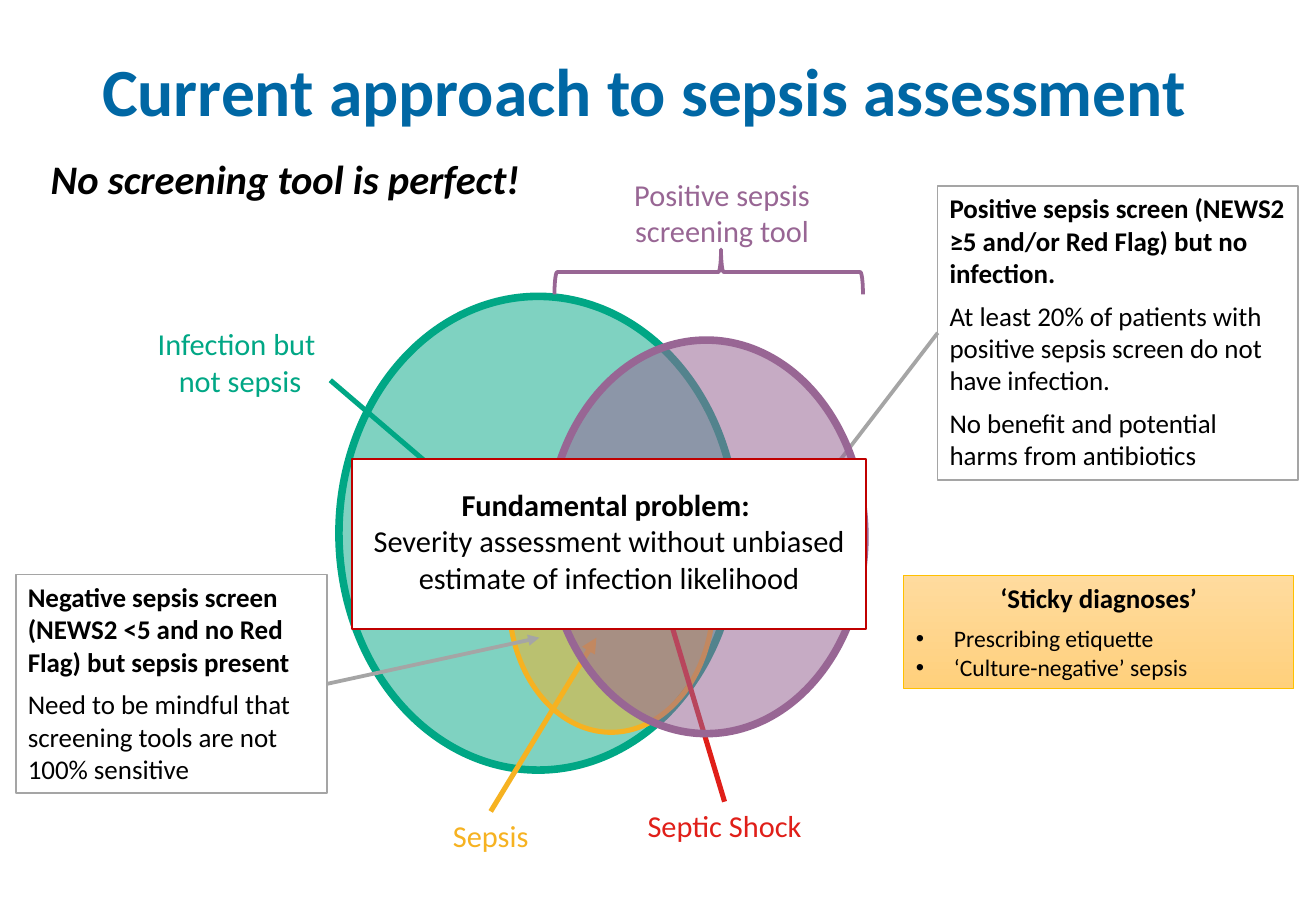
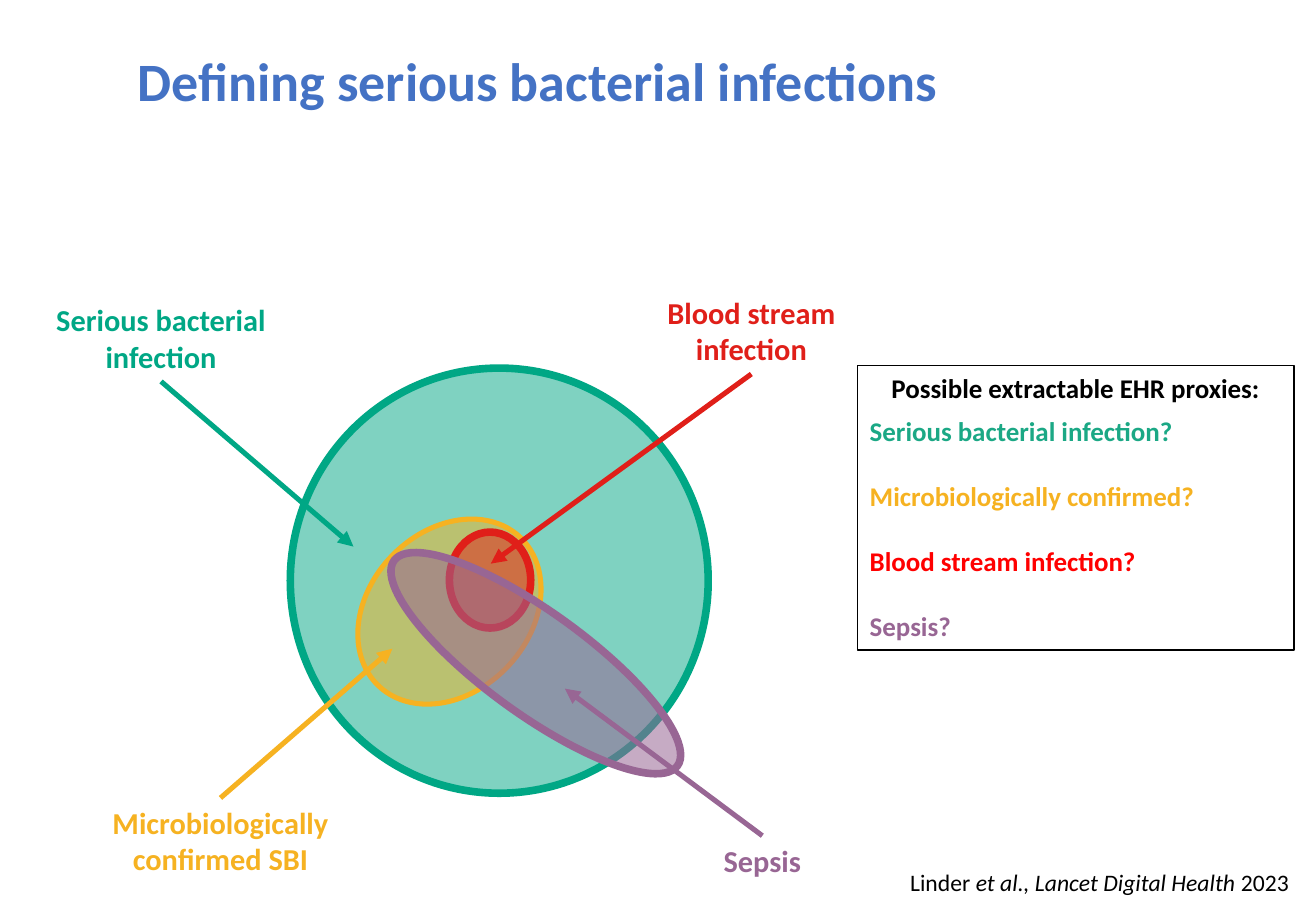
from lxml.etree import SubElement
from pptx import Presentation
from pptx.dml.color import RGBColor
from pptx.enum.shapes import MSO_CONNECTOR, MSO_SHAPE
from pptx.enum.text import MSO_ANCHOR, MSO_AUTO_SIZE, PP_ALIGN
from pptx.oxml.ns import qn
from pptx.util import Pt

HUES = {
    "blue": "0067A4", "royal": "4472C4", "black": "000000", "white": "FFFFFF",
    "green": "00A785", "mint": "1BA885", "gold": "F6B221", "red": "E01F19",
    "alert": "FF0000", "plum": "986694", "gray": "A5A5A5", "dark": "C00000",
    "amber": "FFC000", "pale": "FFDB9E", "peach": "FFD07C",
}
FACE = "Calibri"
MID, END = PP_ALIGN.CENTER, PP_ALIGN.RIGHT
TOP, LEFT, LOW, RIGHT = range(4)

HEAD = {"size": 16, "bold": True, "after": 6}
TEXT = {"size": 16, "after": 6}
ITEM = {"size": 14, "bullet": "•"}
MAIN = {"size": 18, "align": MID}
ASK = {"size": 16, "bold": True}
GAP = {**ASK, "before": 19.5}

SLIDES = [
    {
        "title": ("Current approach to sepsis assessment", (53.3, 23, 716.4, 60.5),
                  {"size": 40, "bold": True, "hue": "blue"}, MSO_ANCHOR.MIDDLE),
        "body": ((535.7, 341.3, 231.1, 67), "amber", 0.5, ("pale", "peach"), [
            ("‘Sticky diagnoses’", {**HEAD, "align": MID}),
            ("Prescribing etiquette", ITEM),
            ("‘Culture-negative’ sepsis", ITEM)]),
        "parts": [
            ("text", (23, 87.8, 317.5, 37.4), [
                ("No screening tool is perfect!", {"size": 24, "bold": True, "italic": True})]),
            ("oval", (200.9, 175.7, 236.2, 280.8), "green"),
            ("oval", (301.7, 277.9, 121, 156.2), "gold", 3),
            ("label", (350.6, 475.2, 157.7, 28.8), "red", ["Septic Shock"], TOP, (385.9, 329.8)),
            ("label", (252.7, 481, 76.3, 28.8), "gold", ["Sepsis"], TOP, (353.5, 378)),
            ("label", (63.4, 189.4, 157.7, 51.1), "green", ["Infection but ", "not sepsis"]),
            ("arrow", (195.8, 225.4), (266.4, 285.8), "green"),
            ("panel", (555.8, 110.2, 213.8, 174.2), "gray", 1, [
                ("Positive sepsis screen (NEWS2 ≥5 and/or Red Flag) but no infection.", HEAD),
                ("At least 20% of patients with positive sepsis screen do not have infection.", TEXT),
                ("No benefit and potential harms from antibiotics", TEXT)], LEFT, (465.8, 314.6)),
            ("panel", (9.4, 340.6, 184.3, 129.6), "gray", 1, [
                ("Negative sepsis screen (NEWS2 <5 and no Red Flag) but sepsis present", HEAD),
                ("Need to be mindful that screening tools are not 100% sensitive", TEXT)],
             RIGHT, (319.7, 378)),
            ("oval", (324.7, 201.6, 187.9, 233.3), "plum", 4.5, 55),
            ("label", (349.9, 100.8, 156.2, 51.1), "plum", ["Positive sepsis screening tool"]),
            ("brace", (406.8, 69.8, 26.6, 182.9), "plum"),
            ("panel", (208.8, 272.2, 304.6, 100.8), "dark", 1.5, [
                ("Fundamental problem: ", {**MAIN, "bold": True}),
                ("Severity assessment without unbiased estimate of infection likelihood", MAIN)],
             None, None, 16),
        ],
    },
    {
        "title": ("Defining serious bacterial infections", (74.2, 28.8, 630.7, 46.8),
                  {"size": 32, "bold": True, "hue": "royal", "line": 0.9}, MSO_ANCHOR.TOP),
        "body": ((508.3, 216.7, 258.5, 168.5), "black", 1, ("white",), [
            ("Possible extractable EHR proxies:", {**HEAD, "align": MID}),
            ("Serious bacterial infection?", {**ASK, "hue": "mint"}),
            ("Microbiologically confirmed?", {**GAP, "hue": "gold"}),
            ("Blood stream infection?", {**GAP, "hue": "alert"}),
            ("Sepsis?", {**GAP, "hue": "plum"})]),
        "parts": [
            ("oval", (172.1, 218.2, 247.7, 252), "green"),
            ("label", (16.6, 175, 157.7, 51.1), "green", ["Serious bacterial infection"],
             LOW, (209.5, 324), True),
            ("label", (41.8, 473, 177.8, 51.1), "gold", ["Microbiologically confirmed SBI"],
             TOP, (232.6, 384.5), True),
            ("oval", (218.9, 301.7, 95, 121.7), "gold", 3, 50, 43.8),
            ("label", (366.5, 170.6, 157.7, 51.1), "red", ["Blood stream infection"],
             LOW, (290.9, 334.1), True),
            ("oval", (266.4, 315.4, 48.2, 56.9), "red"),
            ("label", (373, 495.4, 157.7, 28.8), "plum", ["Sepsis"], TOP, (334.8, 408.2), True),
            ("oval", (287.3, 289.4, 60.5, 207.4), "plum", 4.5, 55, 125.9),
            ("text", (452.9, 511.2, 318.2, 24.5), [
                ([("Linder ", False), ("et al., Lancet Digital Health ", True), ("2023", False)],
                 {"size": 14, "align": END})]),
        ],
    },
]


def rgb(hue):
    return RGBColor.from_string(HUES[hue])


def put(obj, **vals):
    for key, val in vals.items():
        setattr(obj, key, val)


def place(shape, box):
    put(shape, **dict(zip(("left", "top", "width", "height"), map(Pt, box))))


def edge(shape, hue, width):
    shape.line.color.rgb = rgb(hue)
    shape.line.width = Pt(width)


def paint(shape, hues):
    if len(hues) == 1:
        shape.fill.solid()
        shape.fill.fore_color.rgb = rgb(hues[0])
        return
    shape.fill.gradient()
    shape.fill.gradient_angle = 270
    for stop, hue in zip(shape.fill.gradient_stops, hues):
        stop.color.rgb = rgb(hue)


def mark(para, sign):
    props = para._p.get_or_add_pPr()
    dent = Pt(22.5) if sign else 0
    props.set("marL", str(dent))
    props.set("indent", str(-dent))
    if sign:
        SubElement(props, qn("a:buChar")).set("char", sign)
    else:
        SubElement(props, qn("a:buNone"))


def write(shape, paras, anchor=MSO_ANCHOR.TOP, head=3.6):
    frame = shape.text_frame
    put(frame, word_wrap=True, auto_size=MSO_AUTO_SIZE.NONE, vertical_anchor=anchor,
        margin_left=Pt(7.2), margin_right=Pt(7.2), margin_top=Pt(head), margin_bottom=Pt(3.6))
    for num, (text, form) in enumerate(paras):
        para = frame.add_paragraph() if num else frame.paragraphs[0]
        mark(para, form.get("bullet"))
        put(para, alignment=form.get("align", PP_ALIGN.LEFT), line_spacing=form.get("line", 1.0),
            space_before=Pt(form.get("before", 0)), space_after=Pt(form.get("after", 0)))
        slant = form.get("italic", False)
        for words, tilt in [(text, slant)] if isinstance(text, str) else text:
            run = para.add_run()
            run.text = words
            put(run.font, name=FACE, size=Pt(form["size"]), bold=form.get("bold", False), italic=tilt)
            run.font.color.rgb = rgb(form.get("hue", "black"))


def add(slide, kind, box):
    shape = slide.shapes.add_shape(kind, *map(Pt, box))
    shape.shadow.inherit = False
    return shape


def arrow(slide, start, end, hue, width=3):
    wire = slide.shapes.add_connector(MSO_CONNECTOR.STRAIGHT, *map(Pt, start + end))
    edge(wire, hue, width)
    props = wire.element.spPr
    SubElement(props.find(qn("a:ln")), qn("a:tailEnd")).set("type", "triangle")
    SubElement(props, qn("a:effectLst"))
    return wire


def point(slide, shape, site, end, hue, width):
    if end:
        arrow(slide, end, end, hue, width).begin_connect(shape, site)


def text(slide, box, paras):
    shape = slide.shapes.add_textbox(*map(Pt, box))
    write(shape, paras)
    return shape


def label(slide, box, hue, lines, site=None, end=None, bold=False):
    form = {**MAIN, "hue": hue, "bold": bold}
    shape = text(slide, box, [(line, form) for line in lines])
    point(slide, shape, site, end, hue, 3)


def panel(slide, box, hue, width, paras, site=None, end=None, head=3.6):
    shape = add(slide, MSO_SHAPE.RECTANGLE, box)
    paint(shape, ("white",))
    edge(shape, hue, width)
    write(shape, paras, head=head)
    point(slide, shape, site, end, hue, 2.25)


def oval(slide, box, hue, width=4.5, alpha=50, turn=0):
    shape = add(slide, MSO_SHAPE.OVAL, box)
    paint(shape, (hue,))
    tint = shape.element.spPr.find(qn("a:solidFill"))[0]
    SubElement(tint, qn("a:alpha")).set("val", str(alpha * 1000))
    edge(shape, hue, width)
    shape.rotation = turn


def brace(slide, box, hue):
    shape = add(slide, MSO_SHAPE.RIGHT_BRACE, box)
    shape.fill.background()
    edge(shape, hue, 2.25)
    shape.rotation = 270
    shape.adjustments[0], shape.adjustments[1] = 0.06, 0.54


DRAW = {"text": text, "label": label, "panel": panel, "oval": oval, "brace": brace, "arrow": arrow}


def build(deck, page):
    slide = deck.slides.add_slide(deck.slide_layouts[1])
    name, box, form, anchor = page["title"]
    title, body = slide.placeholders
    place(title, box)
    write(title, [(name, form)], anchor)
    box, hue, width, fills, paras = page["body"]
    place(body, box)
    paint(body, fills)
    edge(body, hue, width)
    write(body, paras)
    for kind, *args in page["parts"]:
        DRAW[kind](slide, *args)


def main():
    deck = Presentation()
    put(deck, slide_width=Pt(780), slide_height=Pt(540))
    for page in SLIDES:
        build(deck, page)
    deck.save("out.pptx")


if __name__ == "__main__":
    main()
